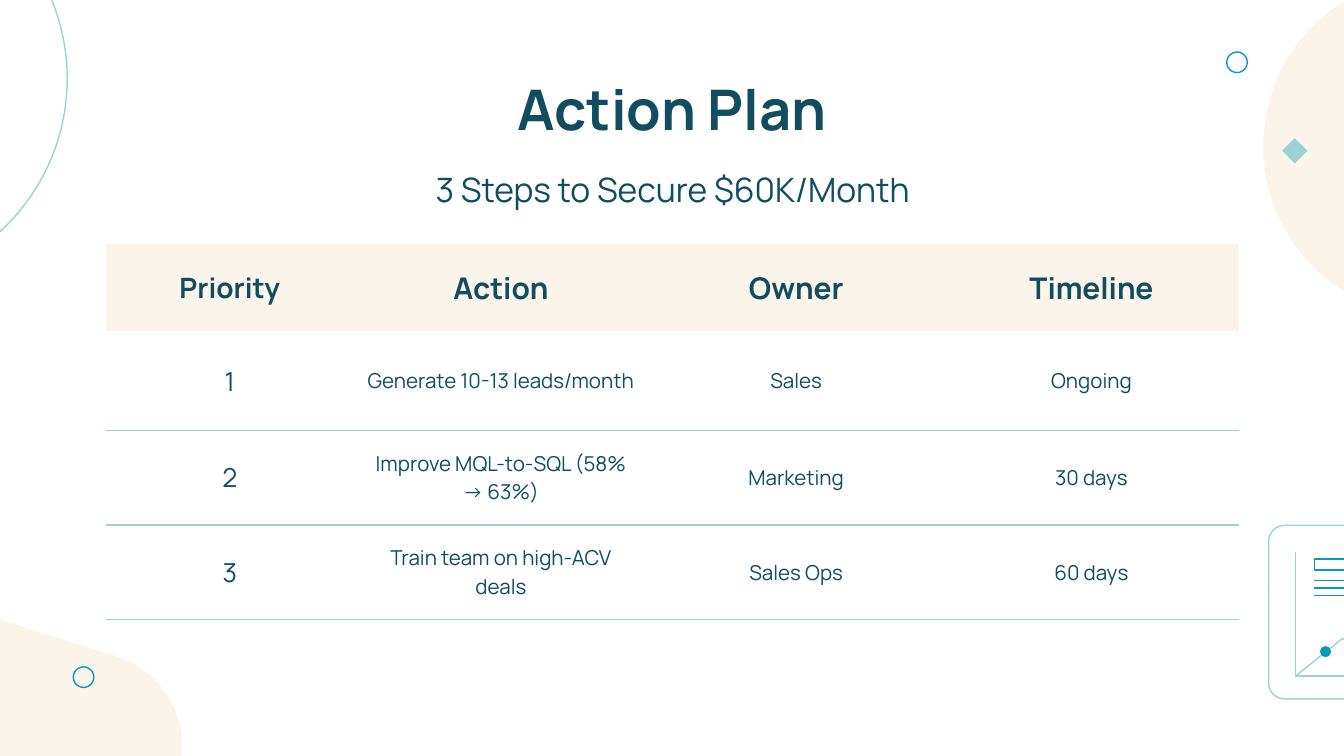
from dataclasses import dataclass

from lxml import etree
from pptx import Presentation
from pptx import util as u
from pptx.dml.color import RGBColor
from pptx.enum import shapes, text
from pptx.oxml import ns

CREAM = RGBColor(0xFA, 0xF4, 0xEA)
MINT = RGBColor(0x9C, 0xD2, 0xD3)
TEAL = RGBColor(0x07, 0x99, 0xB6)
NAVY = RGBColor(0x11, 0x4C, 0x5F)
FONT = "Manrope"
LINE_WIDTH = u.Pt(0.75)
INSET = 7.2
Kind = shapes.MSO_SHAPE


@dataclass(frozen=True)
class Decoration:
    kind: Kind
    left: float
    top: float
    width: float
    height: float
    fill: RGBColor | None = None
    line: RGBColor | None = None
    rotation: float = 0
    corner: float | None = None


@dataclass(frozen=True)
class Caption:
    content: str
    left: float
    top: float
    width: float
    height: float
    size: float
    bold: bool = False
    top_inset: float = INSET


BACKDROP = [
    Decoration(Kind.OVAL, 676.8, -13, 182.9, 182.9, fill=CREAM),
    Decoration(Kind.ROUNDED_RECTANGLE, -136.1, 329, 236.9, 102.2,
               fill=CREAM, rotation=17.4, corner=0.5),
    Decoration(Kind.OVAL, -186.5, -69.1, 222.5, 222.5, line=MINT),
    Decoration(Kind.DIAMOND, 686.9, 74, 13.6, 13.6, fill=MINT),
    Decoration(Kind.OVAL, 657.2, 27.9, 11, 11, line=TEAL),
    Decoration(Kind.OVAL, 39.3, 357.3, 11, 11, line=TEAL),
    Decoration(Kind.ROUNDED_RECTANGLE, 679.7, 281.5, 141.1, 92.9,
               line=MINT, corner=0.09),
]
CARD_DETAILS = [
    Decoration(Kind.OVAL, 707.2, 346.2, 5.8, 5.8, fill=TEAL),
    Decoration(Kind.RECTANGLE, 704.2, 299.5, 29.5, 6, line=TEAL),
]
AXES = [(694.1, 295.9), (694.1, 362.2), (802.1, 362.2)]
TREND = [(694.1, 362.2), (719.3, 342), (729.4, 349.9),
         (763.9, 313.9), (776.9, 331.9), (802.1, 307.4)]
CAPTIONS = [
    Caption("Action Plan", 0, 35.3, 720, 45.4, 30, bold=True, top_inset=4.5),
    Caption("3 Steps to Secure $60K/Month", 56.9, 83.5, 607, 28.8, 18),
]
PLAN = [
    ["Priority", "Action", "Owner", "Timeline"],
    ["1", "Generate 10-13 leads/month", "Sales", "Ongoing"],
    ["2", "Improve MQL-to-SQL (58% → 63%)", "Marketing", "30 days"],
    ["3", "Train team on high-ACV deals", "Sales Ops", "60 days"],
]
COLUMN_WIDTHS = [132.4, 158.2, 158.2, 158.2]
ROW_HEIGHTS = [47, 53, 50.7, 50.7]


def write_text(frame, content: str, *, size: float, bold: bool = False) -> None:
    paragraph = frame.paragraphs[0]
    paragraph.alignment = text.PP_ALIGN.CENTER
    run = paragraph.add_run()
    run.text = content
    run.font.name = FONT
    run.font.size = u.Pt(size)
    run.font.bold = bold
    run.font.color.rgb = NAVY


def set_style(shape, fill: RGBColor | None, line: RGBColor | None) -> None:
    shape.shadow.inherit = False
    if fill is None:
        shape.fill.background()
    else:
        shape.fill.solid()
        shape.fill.fore_color.rgb = fill
    if line is None:
        shape.line.fill.background()
    else:
        shape.line.color.rgb = line
        shape.line.width = LINE_WIDTH


def draw_decoration(slide, item: Decoration) -> None:
    box = map(u.Pt, (item.left, item.top, item.width, item.height))
    shape = slide.shapes.add_shape(item.kind, *box)
    shape.rotation = item.rotation
    if item.corner is not None:
        shape.adjustments[0] = item.corner
    set_style(shape, item.fill, item.line)


def draw_polyline(slide, points: list[tuple[float, float]]) -> None:
    start, *rest = [(u.Pt(x), u.Pt(y)) for x, y in points]
    builder = slide.shapes.build_freeform(*start)
    builder.add_line_segments(rest, close=False)
    set_style(builder.convert_to_shape(), None, MINT)


def draw_text_line(slide, left: float, right: float, y: float) -> None:
    connector = slide.shapes.add_connector(
        shapes.MSO_CONNECTOR.STRAIGHT, u.Pt(left), u.Pt(y), u.Pt(right), u.Pt(y))
    connector.line.color.rgb = TEAL
    connector.line.width = LINE_WIDTH
    etree.SubElement(connector.element.spPr, ns.qn("a:effectLst"))


def draw_caption(slide, item: Caption) -> None:
    box = map(u.Pt, (item.left, item.top, item.width, item.height))
    frame = slide.shapes.add_textbox(*box).text_frame
    frame.word_wrap = True
    frame.auto_size = text.MSO_AUTO_SIZE.NONE
    frame.margin_left = frame.margin_right = frame.margin_bottom = u.Pt(INSET)
    frame.margin_top = u.Pt(item.top_inset)
    write_text(frame, item.content, size=item.size, bold=item.bold)


def set_borders(cell, lined: set[str]) -> None:
    properties = cell._tc.get_or_add_tcPr()
    for side in ("lnL", "lnR", "lnT", "lnB"):
        border = etree.SubElement(properties, ns.qn(f"a:{side}"), w=str(LINE_WIDTH))
        if side in lined:
            fill = etree.SubElement(border, ns.qn("a:solidFill"))
            etree.SubElement(fill, ns.qn("a:srgbClr"), val=str(MINT))
        else:
            etree.SubElement(border, ns.qn("a:noFill"))


def cell_size(row: int, column: int) -> float:
    if row == 0:
        return 15 if column == 0 else 16
    return 14 if column == 0 else 11


def draw_plan(slide, left: float, top: float) -> None:
    table = slide.shapes.add_table(
        len(PLAN), len(COLUMN_WIDTHS), u.Pt(left), u.Pt(top),
        u.Pt(sum(COLUMN_WIDTHS)), u.Pt(sum(ROW_HEIGHTS))).table
    table.horz_banding = False
    for column, width in zip(table.columns, COLUMN_WIDTHS):
        column.width = u.Pt(width)
    for row, height in zip(table.rows, ROW_HEIGHTS):
        row.height = u.Pt(height)
    for row, labels in enumerate(PLAN):
        lined = ({"lnB"} if row else set()) | ({"lnT"} if row > 1 else set())
        for column, label in enumerate(labels):
            cell = table.cell(row, column)
            cell.vertical_anchor = text.MSO_ANCHOR.MIDDLE
            cell.margin_left = cell.margin_right = u.Pt(INSET)
            cell.margin_top = cell.margin_bottom = u.Pt(INSET)
            set_borders(cell, lined)
            if row == 0:
                cell.fill.solid()
                cell.fill.fore_color.rgb = CREAM
            else:
                cell.fill.background()
            write_text(cell.text_frame, label,
                       size=cell_size(row, column), bold=row == 0)


def main() -> None:
    presentation = Presentation()
    presentation.slide_width = u.Pt(720)
    presentation.slide_height = u.Pt(405)
    slide = presentation.slides.add_slide(presentation.slide_layouts[6])
    for item in BACKDROP:
        draw_decoration(slide, item)
    for points in (AXES, TREND):
        draw_polyline(slide, points)
    for item in CARD_DETAILS:
        draw_decoration(slide, item)
    for index in range(3):
        draw_text_line(slide, 704.2, 723.6, 311 + 4 * index)
    for item in CAPTIONS:
        draw_caption(slide, item)
    draw_plan(slide, 56.9, 130.6)
    presentation.save("out.pptx")


if __name__ == "__main__":
    main()
